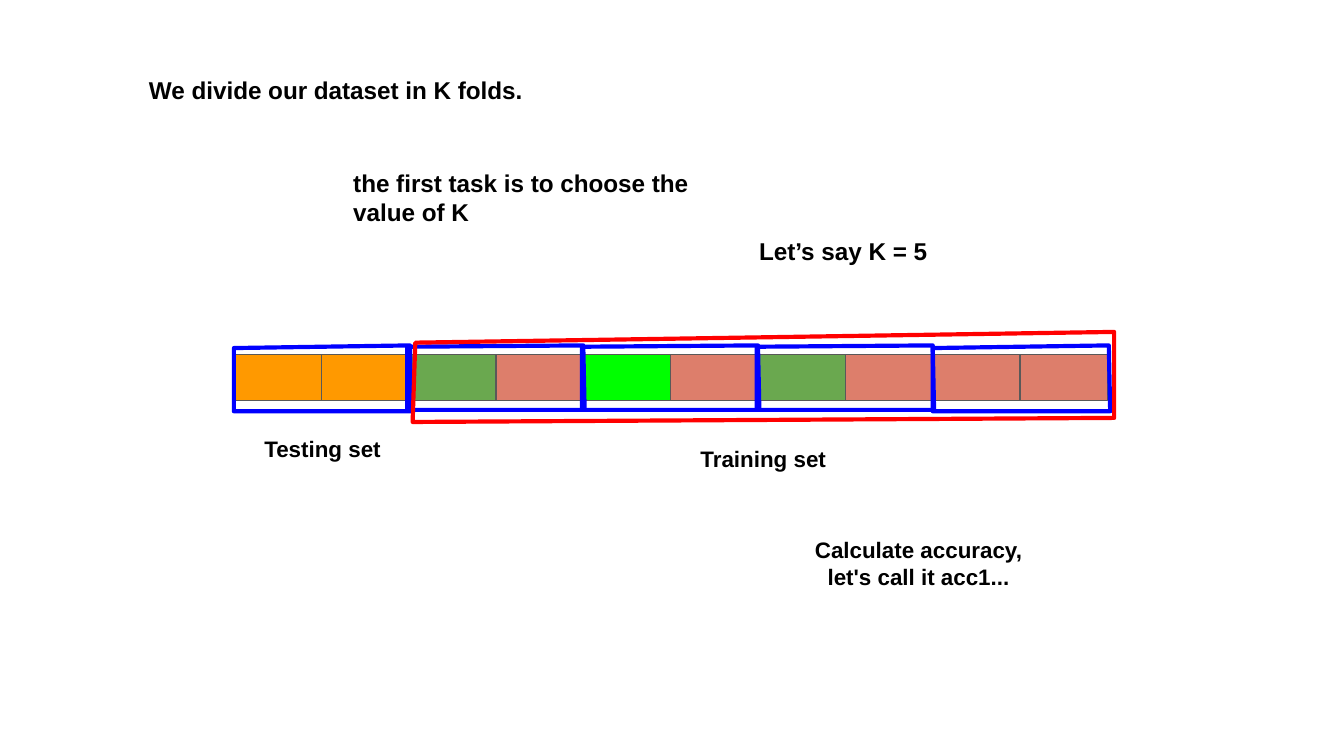
from dataclasses import dataclass

import pptx
import pptx.dml.color
import pptx.enum.shapes
import pptx.enum.text
import pptx.oxml
import pptx.util
from pptx.util import Inches


@dataclass(frozen=True)
class Theme:
    font: str = "Arial"
    statement_size: int = 13
    label_size: int = 12
    cell_line: float = 0.75
    outline: float = 2.25
    text: str = "000000"
    cell_border: str = "595959"
    orange: str = "FF9900"
    green: str = "6AA84F"
    lime: str = "00FF00"
    salmon: str = "DD7E6B"
    fold: str = "0000FF"
    training: str = "FF0000"


THEME = Theme()
ALIGN = pptx.enum.text.PP_ALIGN

CELL_COLORS = (
    THEME.orange, THEME.orange, THEME.green, THEME.salmon, THEME.lime,
    THEME.salmon, THEME.green, THEME.salmon, THEME.salmon, THEME.salmon,
)
ROW_LEFT, ROW_TOP = 1.74, 2.64
CELL_WIDTH, CELL_HEIGHT = 0.65, 0.34

# Left and top of the upper left corner of each hand-drawn fold
FOLD_CORNERS = ((1.74, 2.59), (3.03, 2.58), (4.33, 2.58), (5.63, 2.58), (6.94, 2.59))
FOLD_TOP_RIGHT = 2.57
TRAINING_CORNERS = ((3.09, 2.55), (3.07, 3.14), (8.29, 3.11), (8.29, 2.47))

STATEMENTS = (
    ("We divide our dataset in K folds.", 1.01, 0.46, 2.98, 0.43),
    ("the first task is to choose the value of K", 2.53, 1.15, 2.98, 0.43),
    ("Let’s say K = 5", 5.55, 1.66, 1.47, 0.43),
)
LABELS = (
    ("Testing set", 1.84, 3.14, 1.12, 0.34),
    ("Training set", 5.06, 3.21, 1.24, 0.34),
    ("Calculate accuracy, let's call it acc1...", 5.94, 3.89, 1.79, 0.67),
)


def rgb(value):
    return pptx.dml.color.RGBColor.from_string(value)


def add_text(slide, wording, left, top, width, height, size, align):
    box = slide.shapes.add_textbox(
        Inches(left), Inches(top), Inches(width), Inches(height))
    frame = box.text_frame
    frame.word_wrap = True
    frame.margin_left = frame.margin_right = Inches(0.1)
    frame.margin_top = frame.margin_bottom = Inches(0.1)
    frame.text = wording
    paragraph = frame.paragraphs[0]
    paragraph.alignment = align
    font = paragraph.runs[0].font
    font.name = THEME.font
    font.size = pptx.util.Pt(size)
    font.bold = True
    font.color.rgb = rgb(THEME.text)


def add_cell(slide, index, color):
    cell = slide.shapes.add_shape(
        pptx.enum.shapes.MSO_SHAPE.FLOWCHART_PROCESS,
        Inches(ROW_LEFT + index * CELL_WIDTH), Inches(ROW_TOP),
        Inches(CELL_WIDTH), Inches(CELL_HEIGHT))
    cell.shadow.inherit = False
    cell.fill.solid()
    cell.fill.fore_color.rgb = rgb(color)
    cell.line.color.rgb = rgb(THEME.cell_border)
    cell.line.width = pptx.util.Pt(THEME.cell_line)


def add_outline(slide, corners, color):
    """Draw an unfilled closed polygon with rounded line joins."""
    start, *others = [(Inches(x), Inches(y)) for x, y in corners]
    builder = slide.shapes.build_freeform(*start)
    builder.add_line_segments(others, close=True)
    outline = builder.convert_to_shape()
    outline.shadow.inherit = False
    outline.fill.background()
    outline.line.color.rgb = rgb(color)
    outline.line.width = pptx.util.Pt(THEME.outline)
    line_xml = outline.line._get_or_add_ln()
    line_xml.append(pptx.oxml.parse_xml(
        '<a:round xmlns:a="http://schemas.openxmlformats.org/drawingml/2006/main"/>'))


def fold_corners(left, top):
    bottom = top + 0.47
    return ((left, top), (left, bottom),
            (left + 1.32, bottom), (left + 1.31, FOLD_TOP_RIGHT))


def main():
    presentation = pptx.Presentation()
    presentation.slide_width = Inches(10)
    presentation.slide_height = Inches(10 * 9 / 16)
    blank_layout = presentation.slide_layouts[6]
    slide = presentation.slides.add_slide(blank_layout)

    for index, color in enumerate(CELL_COLORS):
        add_cell(slide, index, color)
    for statement in STATEMENTS:
        add_text(slide, *statement, THEME.statement_size, ALIGN.LEFT)
    for corner in FOLD_CORNERS:
        add_outline(slide, fold_corners(*corner), THEME.fold)
    add_outline(slide, TRAINING_CORNERS, THEME.training)
    for label in LABELS:
        add_text(slide, *label, THEME.label_size, ALIGN.CENTER)

    presentation.save("out.pptx")


if __name__ == "__main__":
    main()
